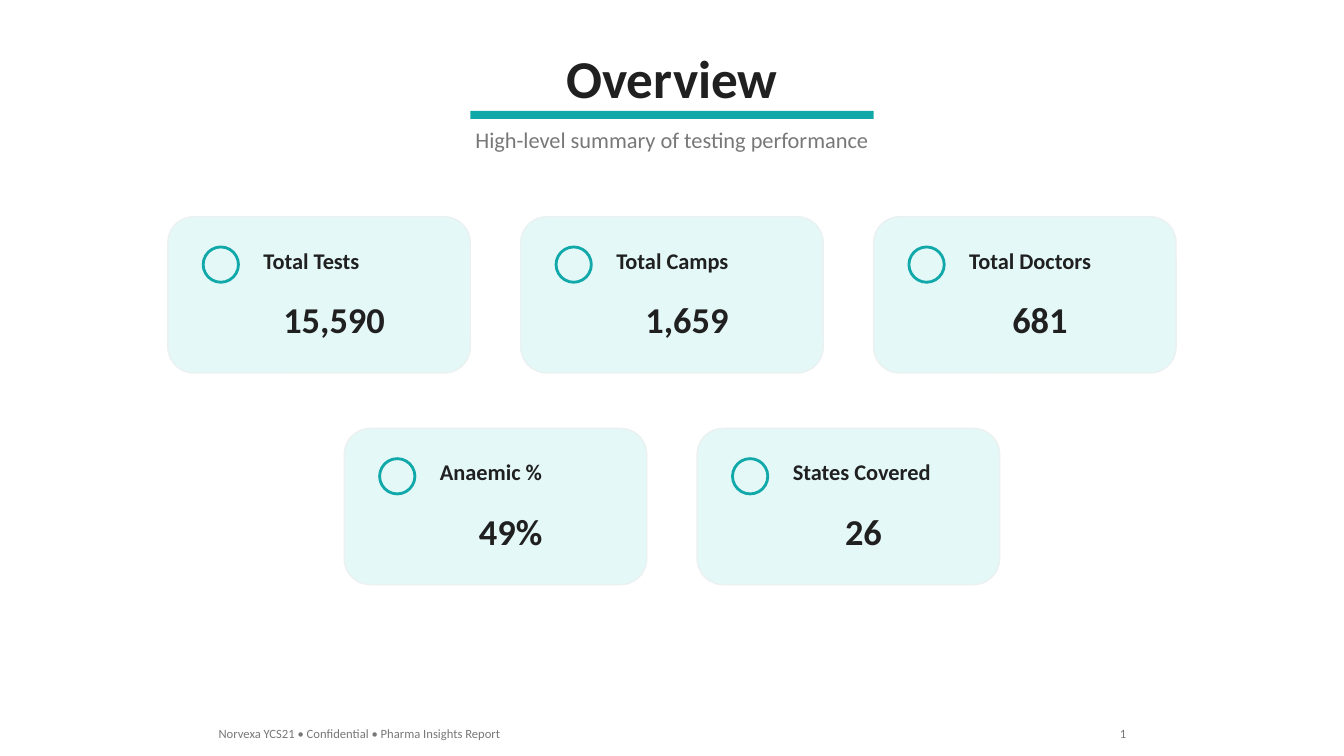
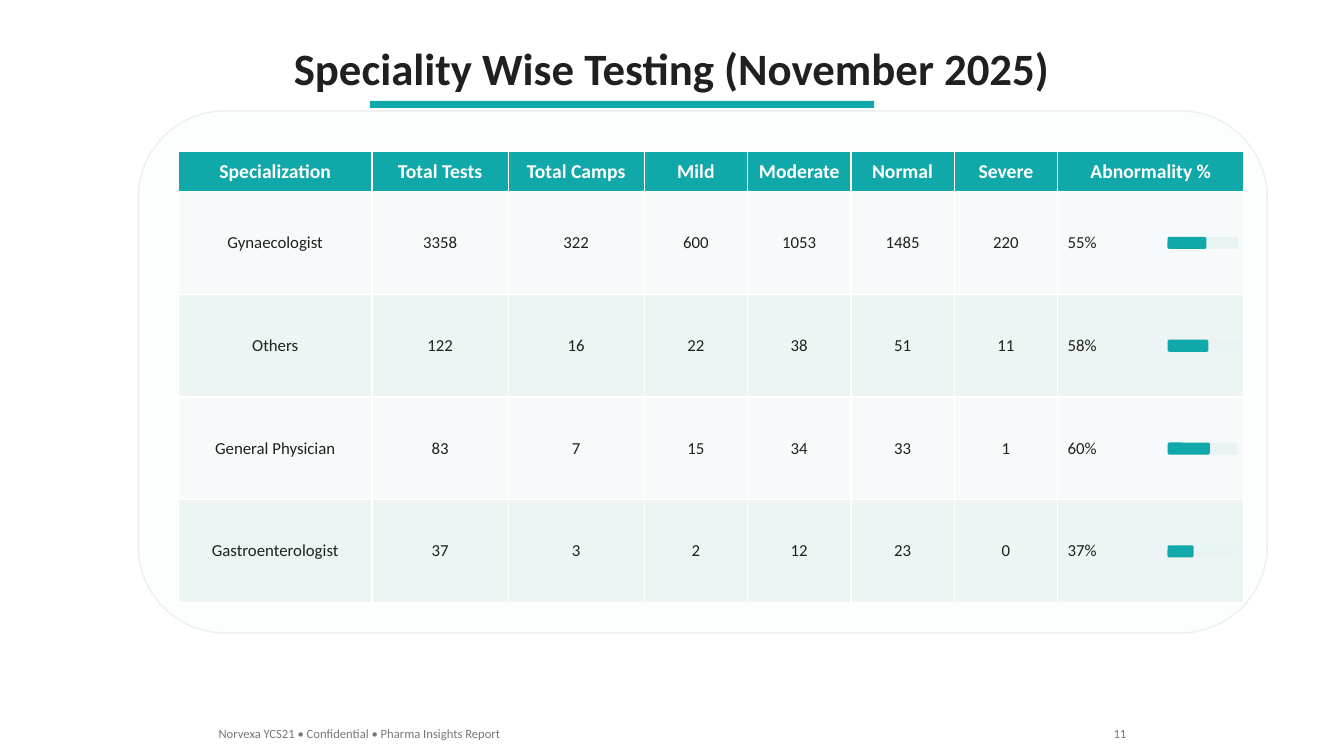
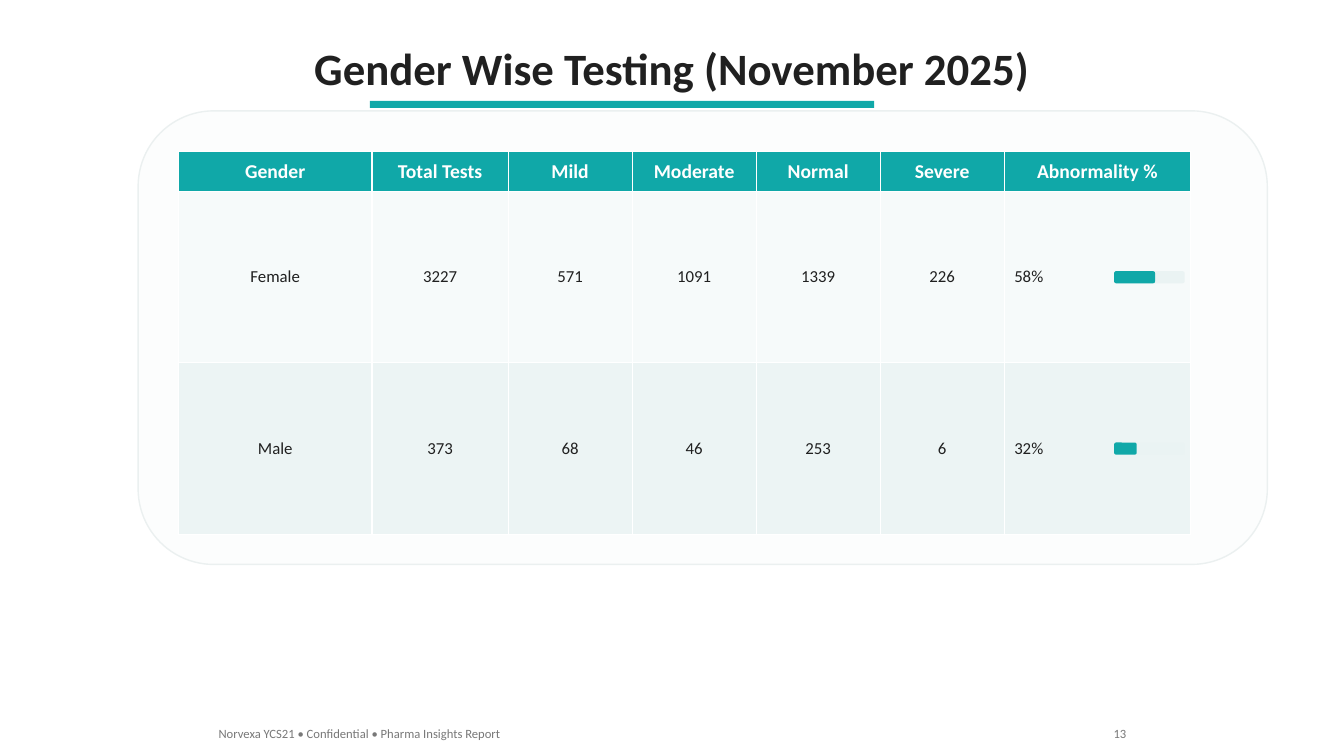
from dataclasses import dataclass

from pptx import Presentation
from pptx.dml.color import RGBColor
from pptx.enum.shapes import MSO_SHAPE
from pptx.enum.text import MSO_ANCHOR, MSO_AUTO_SIZE, PP_ALIGN
from pptx.util import Inches, Pt

RECTANGLE = MSO_SHAPE.RECTANGLE
ROUNDED = MSO_SHAPE.ROUNDED_RECTANGLE
OVAL = MSO_SHAPE.OVAL
LEFT, CENTER, RIGHT = PP_ALIGN.LEFT, PP_ALIGN.CENTER, PP_ALIGN.RIGHT
TOP, MIDDLE = MSO_ANCHOR.TOP, MSO_ANCHOR.MIDDLE
FIXED_SIZE = MSO_AUTO_SIZE.NONE

TEAL = RGBColor(0x10, 0xA8, 0xA8)
INK = RGBColor(0x20, 0x20, 0x20)
GRAY = RGBColor(0x78, 0x78, 0x78)
WHITE = RGBColor(0xFF, 0xFF, 0xFF)
CARD = RGBColor(0xE4, 0xF8, 0xF8)
PANEL = RGBColor(0xFC, 0xFD, 0xFD)
OUTLINE = RGBColor(0xEB, 0xF0, 0xF0)
TRACK = RGBColor(0xEA, 0xF3, 0xF3)
BANDS = (RGBColor(0xF6, 0xFA, 0xFA), RGBColor(0xEC, 0xF4, 0xF4))

FONT = "Calibri"
FOOTER = "Norvexa YCS21 • Confidential • Pharma Insights Report"

WIDTH, HEIGHT = Inches(13.33), Inches(7.5)
ROWS = 75
CELL = HEIGHT / ROWS
COLUMNS = WIDTH / CELL


@dataclass
class Box:
    left: float
    top: float
    width: float
    height: float

    def area(self, left, top, width, height):
        return Box(self.left + left, self.top + top, width, height)

    def place(self):
        lengths = (self.left, self.top, self.width, self.height)
        return [round(length * CELL) for length in lengths]


PAGE = Box(0, 0, COLUMNS, ROWS)


def write(frame, text, size=12, color=INK, bold=False, align=LEFT):
    para = frame.paragraphs[0]
    para.alignment = align
    span = para.add_run()
    span.text = text
    span.font.name = FONT
    span.font.size = Pt(size)
    span.font.bold = bold
    span.font.color.rgb = color


def add_text(page, box, text, **style):
    frame = page.shapes.add_textbox(*box.place()).text_frame
    frame.word_wrap = True
    write(frame, text, **style)


def add_block(page, kind, box, fill=None, line=None, weight=1):
    block = page.shapes.add_shape(kind, *box.place())
    block.shadow.inherit = False
    if fill is None:
        block.fill.background()
    else:
        block.fill.solid()
        block.fill.fore_color.rgb = fill
    if line is None:
        block.line.fill.background()
    else:
        block.line.color.rgb = line
        block.line.width = Pt(weight)


def add_page(deck, title, number, title_top, title_size, rule):
    page = deck.slides.add_slide(deck.slide_layouts[5])
    heading = page.shapes.title
    box = PAGE.area(0, title_top, PAGE.width, title_size / 5)
    heading.left, heading.top, heading.width, heading.height = box.place()
    frame = heading.text_frame
    frame.auto_size = FIXED_SIZE
    frame.vertical_anchor = TOP
    write(frame, title, size=title_size, bold=True, align=CENTER)
    add_block(page, RECTANGLE, rule, fill=TEAL)
    add_text(page, PAGE.area(20.7, 71.5, 50, 2.5), FOOTER, size=9, color=GRAY)
    add_text(page, PAGE.area(102.7, 71.5, 10, 2.5), str(number),
             size=9, color=GRAY, align=RIGHT)
    return page


def add_metric(page, box, label, value):
    add_block(page, ROUNDED, box, fill=CARD, line=OUTLINE)
    add_block(page, OVAL, box.area(3.5, 3, 3.5, 3.5), line=TEAL, weight=2)
    add_text(page, box.area(8.5, 2.5, 21, 3.7), label, size=16, bold=True)
    add_text(page, box.area(8.5, 7.5, 16, 5.4), value,
             size=26, bold=True, align=CENTER)


def add_metric_row(page, top, metrics, width=30, height=15.5, gap=5):
    total = len(metrics) * (width + gap) - gap
    row = PAGE.area((PAGE.width - total) / 2, top, total, height)
    for index, (label, value) in enumerate(metrics):
        card = row.area(index * (width + gap), 0, width, height)
        add_metric(page, card, label, value)


def fill_cell(cell, text, fill, **style):
    cell.fill.solid()
    cell.fill.fore_color.rgb = fill
    cell.vertical_anchor = MIDDLE
    write(cell.text_frame, text, **style)


def add_percent_bar(page, box, percent):
    add_block(page, ROUNDED, box, fill=TRACK)
    share = box.area(0, 0, box.width * percent / 100, box.height)
    add_block(page, ROUNDED, share, fill=TEAL)


def add_results(page, box, header, records, widths, header_height=4):
    row_height = (box.height - header_height) / len(records)
    table = page.shapes.add_table(
        len(records) + 1, len(header), *box.place()).table
    for column, width in zip(table.columns, widths):
        column.width = round(width * CELL)
    for index, row in enumerate(table.rows):
        row.height = round((row_height if index else header_height) * CELL)
    for column, text in enumerate(header):
        fill_cell(table.cell(0, column), text, TEAL,
                  size=14, color=WHITE, bold=True, align=CENTER)
    for index, (name, *counts, percent) in enumerate(records):
        texts = [name, *map(str, counts), f"{percent}%"]
        for column, text in enumerate(texts):
            last = column == len(texts) - 1
            fill_cell(table.cell(index + 1, column), text,
                      BANDS[index % 2], align=LEFT if last else CENTER)
        middle = header_height + (index + 0.5) * row_height
        bar = box.area(box.width - 7.6, middle - 0.6, 7, 1.2)
        add_percent_bar(page, bar, percent)


def add_overview_page(deck):
    rule = PAGE.area((PAGE.width - 40) / 2, 11, 40, 0.8)
    page = add_page(deck, "Overview", 1, 4, 38, rule)
    add_text(page, PAGE.area(0, 12, PAGE.width, 3.7),
             "High-level summary of testing performance",
             size=16, color=GRAY, align=CENTER)
    add_metric_row(page, 21.5, [("Total Tests", "15,590"),
                                ("Total Camps", "1,659"),
                                ("Total Doctors", "681")])
    add_metric_row(page, 42.5, [("Anaemic %", "49%"),
                                ("States Covered", "26")])


def add_table_page(deck, title, number, totals, records, level_width,
                   table_height):
    page = add_page(deck, title, number, 3.5, 32, PAGE.area(36.7, 10, 50, 0.7))
    levels = ["Mild", "Moderate", "Normal", "Severe"]
    header = [*totals, *levels, "Abnormality %"]
    widths = [19.2, *[13.5] * (len(totals) - 1),
              *[level_width] * len(levels), 18.5]
    panel = PAGE.area(13.7, 11, 112, table_height + 7)
    add_block(page, ROUNDED, panel, fill=PANEL, line=OUTLINE)
    add_results(page, panel.area(4, 4, sum(widths), table_height),
                header, records, widths)


def main():
    deck = Presentation()
    deck.slide_width, deck.slide_height = WIDTH, HEIGHT
    add_overview_page(deck)
    add_table_page(
        deck, "Speciality Wise Testing (November 2025)", 11,
        ["Specialization", "Total Tests", "Total Camps"],
        [("Gynaecologist", 3358, 322, 600, 1053, 1485, 220, 55),
         ("Others", 122, 16, 22, 38, 51, 11, 58),
         ("General Physician", 83, 7, 15, 34, 33, 1, 60),
         ("Gastroenterologist", 37, 3, 2, 12, 23, 0, 37)],
        level_width=10.25, table_height=44.8)
    add_table_page(
        deck, "Gender Wise Testing (November 2025)", 13,
        ["Gender", "Total Tests"],
        [("Female", 3227, 571, 1091, 1339, 226, 58),
         ("Male", 373, 68, 46, 253, 6, 32)],
        level_width=12.3, table_height=38)
    deck.save("out.pptx")


if __name__ == "__main__":
    main()
